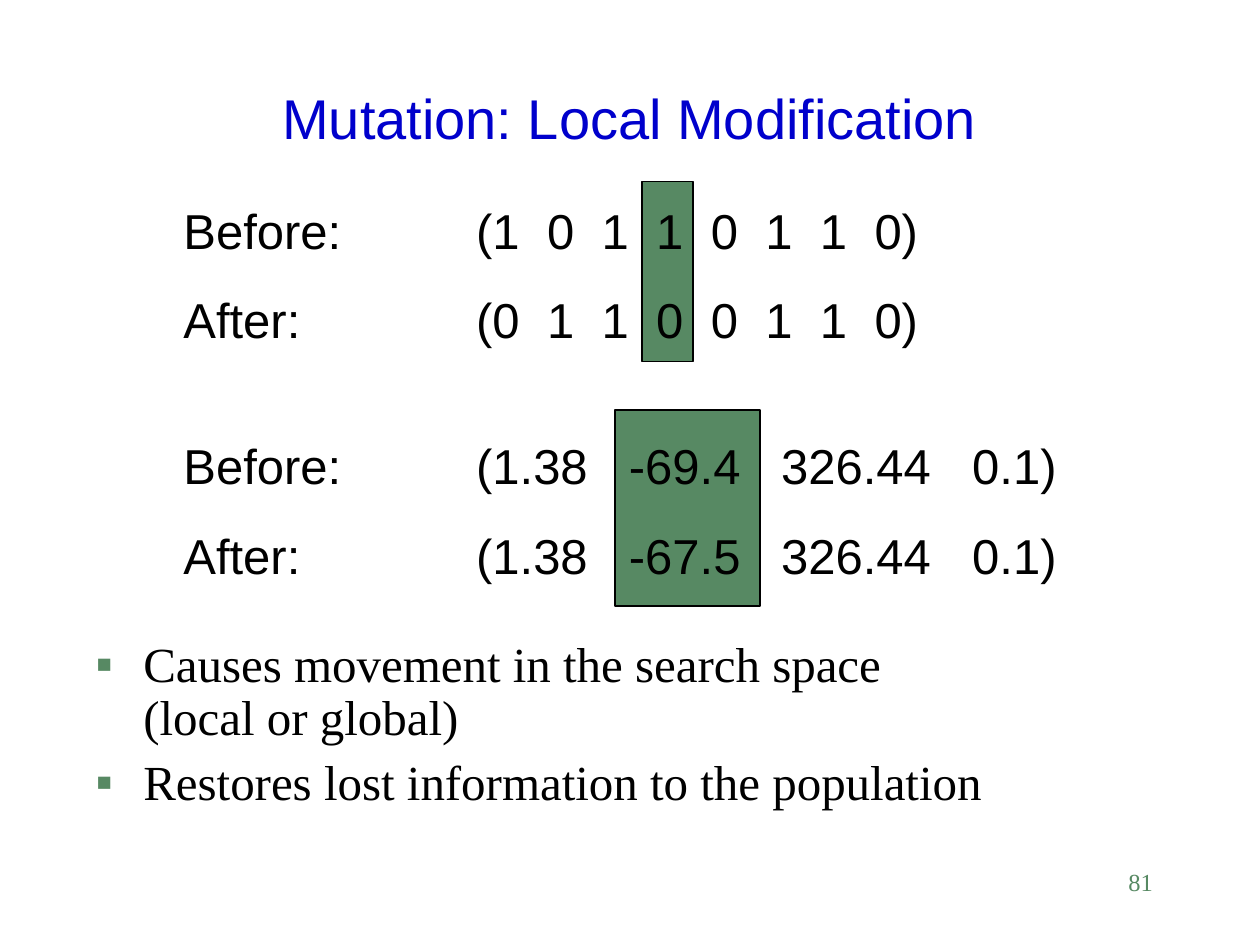
from pptx import Presentation
from pptx.dml.color import RGBColor
from pptx.enum.shapes import MSO_SHAPE
from pptx.enum.text import MSO_ANCHOR, PP_ALIGN
from pptx.oxml import parse_xml
from pptx.oxml.ns import nsdecls
from pptx.util import Cm, Pt

GREEN = RGBColor(0x57, 0x89, 0x63)
BLUE = RGBColor(0x00, 0x00, 0xCC)
BLACK = RGBColor(0x00, 0x00, 0x00)
SANS, SERIF = "Arial", "Times New Roman"

# Tab stops in cm: label gap first, then one per gene
START = 5.9
BITS = [START] + [7.33 + 1.1 * i for i in range(7)]
REALS = [START, 8.98, 12.05, 15.9]

# Label, genes, tab stops, space before
ROWS = [
    ("Before:", "(1 0 1 1 0 1 1 0)", BITS, 0),
    ("After:", "(0 1 1 0 0 1 1 0)", BITS, 17.5),
    ("Before:", "(1.38 -69.4 326.44 0.1)", REALS, 50),
    ("After:", "(1.38 -67.5 326.44 0.1)", REALS, 17.5),
]
POINTS = [
    "Causes movement in the search space\v(local or global)",
    "Restores lost information to the population",
]


def style(para, face, size, color, **form):
    for key, val in form.items():
        setattr(para, key, val)
    for run in para.runs:
        run.font.name, run.font.size = face, Pt(size)
        run.font.color.rgb = color


def add_box(slide, left, top, width, height):
    box = slide.shapes.add_textbox(Cm(left), Cm(top), Cm(width), Cm(height))
    box.text_frame.word_wrap = True
    return box.text_frame


def add_para(frame, index, text):
    para = frame.paragraphs[0] if index == 0 else frame.add_paragraph()
    para.text = text
    return para


def add_mark(slide, left, top, width, height):
    mark = slide.shapes.add_shape(
        MSO_SHAPE.RECTANGLE, Cm(left), Cm(top), Cm(width), Cm(height))
    mark.shadow.inherit = False
    mark.fill.solid()
    mark.fill.fore_color.rgb = GREEN
    mark.line.color.rgb = BLACK
    mark.line.width = Pt(1)


def set_tabs(para, stops):
    tabs = "".join(f'<a:tab pos="{int(Cm(stop))}" algn="l"/>' for stop in stops)
    props = para._p.get_or_add_pPr()
    props.append(parse_xml(f'<a:tabLst {nsdecls("a")}>{tabs}</a:tabLst>'))


def set_bullet(para):
    props = para._p.get_or_add_pPr()
    props.set("marL", str(int(Cm(0.96))))
    props.set("indent", str(int(Cm(-0.96))))
    space = nsdecls("a")
    for xml in (
        f'<a:buClr {space}><a:srgbClr val="{GREEN}"/></a:buClr>',
        f'<a:buFont {space} typeface="{SANS}"/>',
        f'<a:buChar {space} char="▪"/>',
    ):
        props.append(parse_xml(xml))


def add_title(slide, text):
    title = slide.shapes.title
    place = {"left": 1.9, "top": 1.47, "width": 21.59, "height": 1.7}
    for key, val in place.items():
        setattr(title, key, Cm(val))
    frame = title.text_frame
    frame.text = text
    frame.vertical_anchor = MSO_ANCHOR.BOTTOM
    style(frame.paragraphs[0], SANS, 32, BLUE, alignment=PP_ALIGN.CENTER)


def add_rows(slide):
    frame = add_box(slide, 3.45, 3.91, 18.34, 8)
    for i, (label, genes, stops, gap) in enumerate(ROWS):
        para = add_para(frame, i, "\t".join([label, *genes.split()]))
        set_tabs(para, stops)
        style(para, SANS, 28, BLACK, space_before=Pt(gap))


def add_points(slide):
    frame = add_box(slide, 1.68, 12.78, 21.49, 3.99)
    for i, text in enumerate(POINTS):
        para = add_para(frame, i, text)
        set_bullet(para)
        style(para, SERIF, 28, BLACK, line_spacing=0.9,
              space_before=Pt(7 if i else 0))


def add_number(slide, text):
    para = add_para(add_box(slide, 18.21, 17.35, 5.28, 1.27), 0, text)
    style(para, SERIF, 14, GREEN, alignment=PP_ALIGN.RIGHT)


def main():
    deck = Presentation()
    deck.slide_width, deck.slide_height = Cm(25.4), Cm(19.05)
    slide = deck.slides.add_slide(deck.slide_layouts[5])
    add_number(slide, "81")
    add_title(slide, "Mutation: Local Modification")
    # Mutated genes, behind the rows
    add_mark(slide, 12.4, 8.26, 2.92, 3.96)
    add_mark(slide, 12.95, 3.66, 1.02, 3.63)
    add_rows(slide)
    add_points(slide)
    deck.save("out.pptx")


if __name__ == "__main__":
    main()
